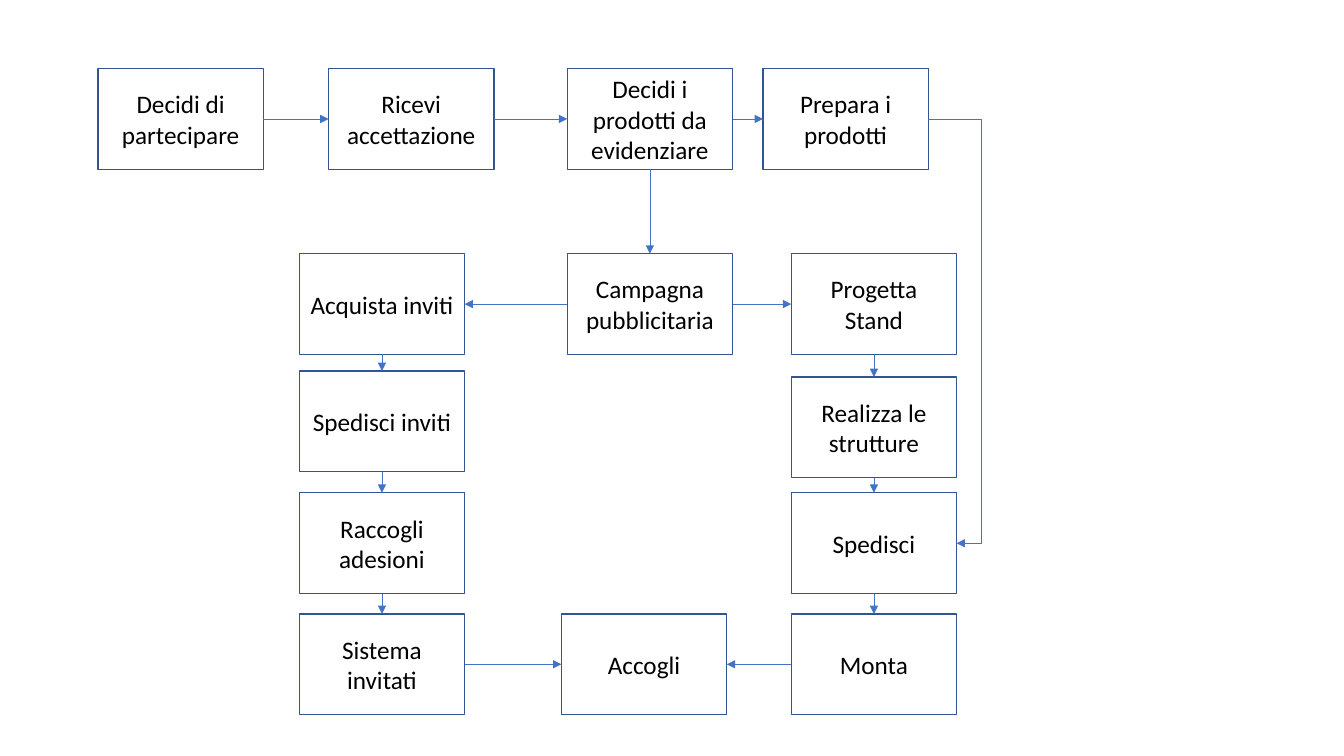
from pptx import Presentation
from pptx.dml.color import RGBColor
from pptx.enum.shapes import MSO_CONNECTOR as Link, MSO_SHAPE as Shape
from pptx.enum.text import MSO_ANCHOR as Anchor, PP_ALIGN as Align
from pptx.oxml.ns import qn
from pptx.util import Pt
from lxml.etree import SubElement

BORDER = RGBColor(0x32, 0x54, 0x91)
ARROW = RGBColor(0x44, 0x72, 0xC4)
BLACK = RGBColor(0, 0, 0)
BOX_WIDTH, BOX_HEIGHT = 118.1, 72
TOP, MIDDLE, SHIPPING, BOTTOM = 49, 181.2, 352, 438.5
INVITES, STAND = 213.8, 565.2
UP, LEFT, DOWN, RIGHT = range(4)

deck = Presentation()
deck.slide_width, deck.slide_height = Pt(960), Pt(540)
page = deck.slides.add_slide(deck.slide_layouts[6])

# Activities: text, left, top
activities = [
    ("Decidi di partecipare", 70, TOP),
    ("Ricevi accettazione", 234.7, TOP),
    ("Decidi i prodotti da evidenziare", 405.2, TOP),
    ("Prepara i prodotti", 545, TOP),
    ("Acquista inviti", INVITES, MIDDLE),
    ("Spedisci inviti", INVITES, 265),
    ("Raccogli adesioni", INVITES, SHIPPING),
    ("Sistema invitati", INVITES, BOTTOM),
    ("Campagna pubblicitaria", 405.2, MIDDLE),
    ("Progetta Stand", STAND, MIDDLE),
    ("Realizza le strutture", STAND, 269.3),
    ("Spedisci", STAND, SHIPPING),
    ("Monta", STAND, BOTTOM),
    ("Accogli", 401, BOTTOM),
]
boxes = {}
for text, left, top in activities:
    box = page.shapes.add_shape(
        Shape.RECTANGLE, Pt(left), Pt(top), Pt(BOX_WIDTH), Pt(BOX_HEIGHT))
    box.shadow.inherit = False
    box.fill.background()
    box.line.color.rgb = BORDER
    box.line.width = Pt(1)
    box.text_frame.text = text
    box.text_frame.word_wrap = True
    box.text_frame.vertical_anchor = Anchor.MIDDLE
    para = box.text_frame.paragraphs[0]
    para.alignment = Align.CENTER
    font = para.runs[0].font
    font.name, font.size, font.color.rgb = "Calibri", Pt(18), BLACK
    boxes[text] = box

# Arrows: start box, its side, end box, its side
flows = [
    ("Decidi di partecipare", RIGHT, "Ricevi accettazione", LEFT),
    ("Ricevi accettazione", RIGHT, "Decidi i prodotti da evidenziare", LEFT),
    ("Decidi i prodotti da evidenziare", RIGHT, "Prepara i prodotti", LEFT),
    ("Decidi i prodotti da evidenziare", DOWN, "Campagna pubblicitaria", UP),
    ("Campagna pubblicitaria", LEFT, "Acquista inviti", RIGHT),
    ("Campagna pubblicitaria", RIGHT, "Progetta Stand", LEFT),
    ("Acquista inviti", DOWN, "Spedisci inviti", UP),
    ("Spedisci inviti", DOWN, "Raccogli adesioni", UP),
    ("Raccogli adesioni", DOWN, "Sistema invitati", UP),
    ("Progetta Stand", DOWN, "Realizza le strutture", UP),
    ("Realizza le strutture", DOWN, "Spedisci", UP),
    ("Spedisci", DOWN, "Monta", UP),
    ("Sistema invitati", RIGHT, "Accogli", LEFT),
    ("Monta", LEFT, "Accogli", RIGHT),
    ("Prepara i prodotti", RIGHT, "Spedisci", RIGHT),
]
for start, start_side, end, end_side in flows:
    bent = start_side == end_side
    arrow = page.shapes.add_connector(
        Link.ELBOW if bent else Link.STRAIGHT, 0, 0, 0, 0)
    arrow.begin_connect(boxes[start], start_side)
    arrow.end_connect(boxes[end], end_side)
    arrow.line.color.rgb = ARROW
    arrow.line.width = Pt(0.5)
    properties = arrow._element.spPr
    SubElement(properties.find(qn("a:ln")), qn("a:tailEnd"), type="triangle")
    SubElement(properties, qn("a:effectLst"))
    if bent:
        # Push the vertical stretch out beyond both boxes
        guides = properties.find(qn("a:prstGeom")).get_or_add_avLst()
        SubElement(guides, qn("a:gd"), name="adj1", fmla="val 189000")

deck.save("out.pptx")
